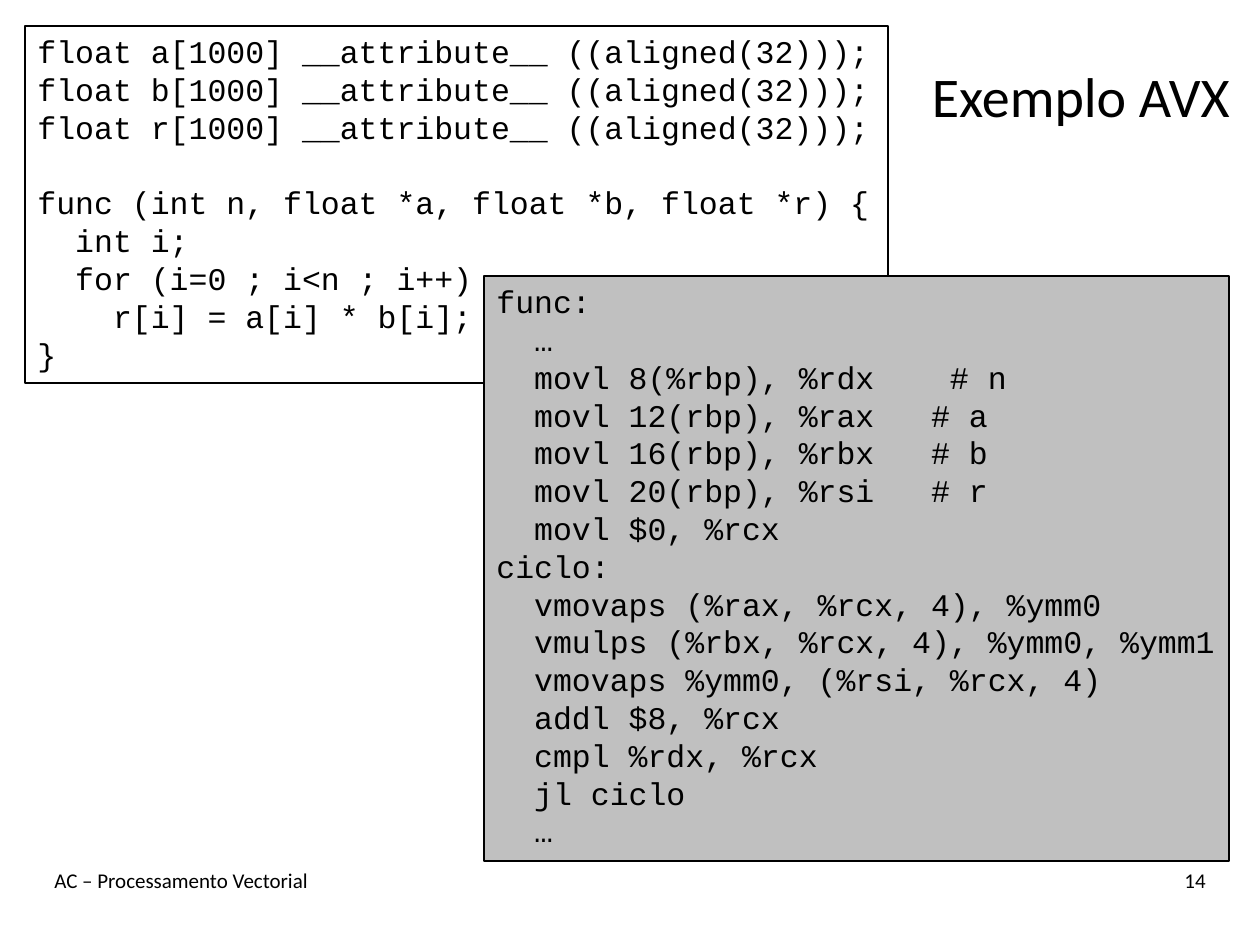
"""Build the AVX example slide: C source, its assembly listing and a footer."""
from pptx import Presentation
from pptx.dml.color import RGBColor as Rgb
from pptx.enum.shapes import MSO_SHAPE as Shape
from pptx.enum.text import MSO_ANCHOR as Anchor, MSO_AUTO_SIZE as Fit, PP_ALIGN as Align
from pptx.util import Emu, Pt

BLACK = Rgb(0x00, 0x00, 0x00)
GRAY = Rgb(0xC0, 0xC0, 0xC0)
SANS, MONO = "Calibri", "Courier New"
SCALE = 914400 / 126

TITLE = ("Exemplo AVX", (917, 37, 328, 116))
DECLS = [f"float {name}[1000] __attribute__ ((aligned(32)));" for name in "abr"]
BODY = [
    "func (int n, float *a, float *b, float *r) {",
    "  int i;",
    "  for (i=0 ; i<n ; i++)",
    "    r[i] = a[i] * b[i];",
    "}",
]
ASM = [
    "func:",
    "  …",
    "  movl 8(%rbp), %rdx    # n",
    "  movl 12(rbp), %rax   # a",
    "  movl 16(rbp), %rbx   # b",
    "  movl 20(rbp), %rsi   # r",
    "  movl $0, %rcx",
    "ciclo:",
    "  vmovaps (%rax, %rcx, 4), %ymm0",
    "  vmulps (%rbx, %rcx, 4), %ymm0, %ymm1",
    "  vmovaps %ymm0, (%rsi, %rcx, 4)",
    "  addl $8, %rcx",
    "  cmpl %rdx, %rcx",
    "  jl ciclo",
    "  …",
]
CODES = [
    ([DECLS, BODY], (25, 26, 863, 357), None),
    ([ASM], (484, 276, 745, 585), GRAY),
]
NOTES = [
    ("14", (1050, 861, 168, 63), Align.RIGHT),
    ("AC – Processamento Vectorial", (42, 861, 882, 63), Align.LEFT),
]


def px(num):
    return Emu(round(num * SCALE))


def place(area):
    return [px(num) for num in area]


def write(para, text, font, size, align):
    para.alignment = align
    run = para.add_run()
    run.text = text
    run.font.name = font
    run.font.size = Pt(size)
    run.font.color.rgb = BLACK


def add_title(slide, text, area):
    title = slide.shapes.title
    title.left, title.top, title.width, title.height = place(area)
    frame = title.text_frame
    frame.vertical_anchor = Anchor.MIDDLE
    write(frame.paragraphs[0], text, SANS, 32, Align.CENTER)


def add_code(slide, blocks, area, fill):
    box = slide.shapes.add_shape(Shape.RECTANGLE, *place(area))
    box.shadow.inherit = False
    if fill is None:
        box.fill.background()
    else:
        box.fill.solid()
        box.fill.fore_color.rgb = fill
    box.line.color.rgb = BLACK
    box.line.width = Pt(0.75)
    frame = box.text_frame
    frame.word_wrap = False
    frame.auto_size = Fit.SHAPE_TO_FIT_TEXT
    frame.vertical_anchor = Anchor.TOP
    para = frame.paragraphs[0]
    for part, lines in enumerate(blocks):
        for row, text in enumerate(lines):
            if part or row:
                para = frame.add_paragraph()
            if part and not row:
                para.space_before = Pt(21.6)
            write(para, text, MONO, 18, Align.LEFT)


def add_note(slide, text, area, align):
    frame = slide.shapes.add_textbox(*place(area)).text_frame
    frame.word_wrap = True
    write(frame.paragraphs[0], text, SANS, 12, align)


def main():
    deck = Presentation()
    deck.slide_width, deck.slide_height = px(1260), px(945)
    slide = deck.slides.add_slide(deck.slide_layouts[5])
    add_title(slide, *TITLE)
    for code in CODES:
        add_code(slide, *code)
    for note in NOTES:
        add_note(slide, *note)
    deck.save("out.pptx")


if __name__ == "__main__":
    main()
